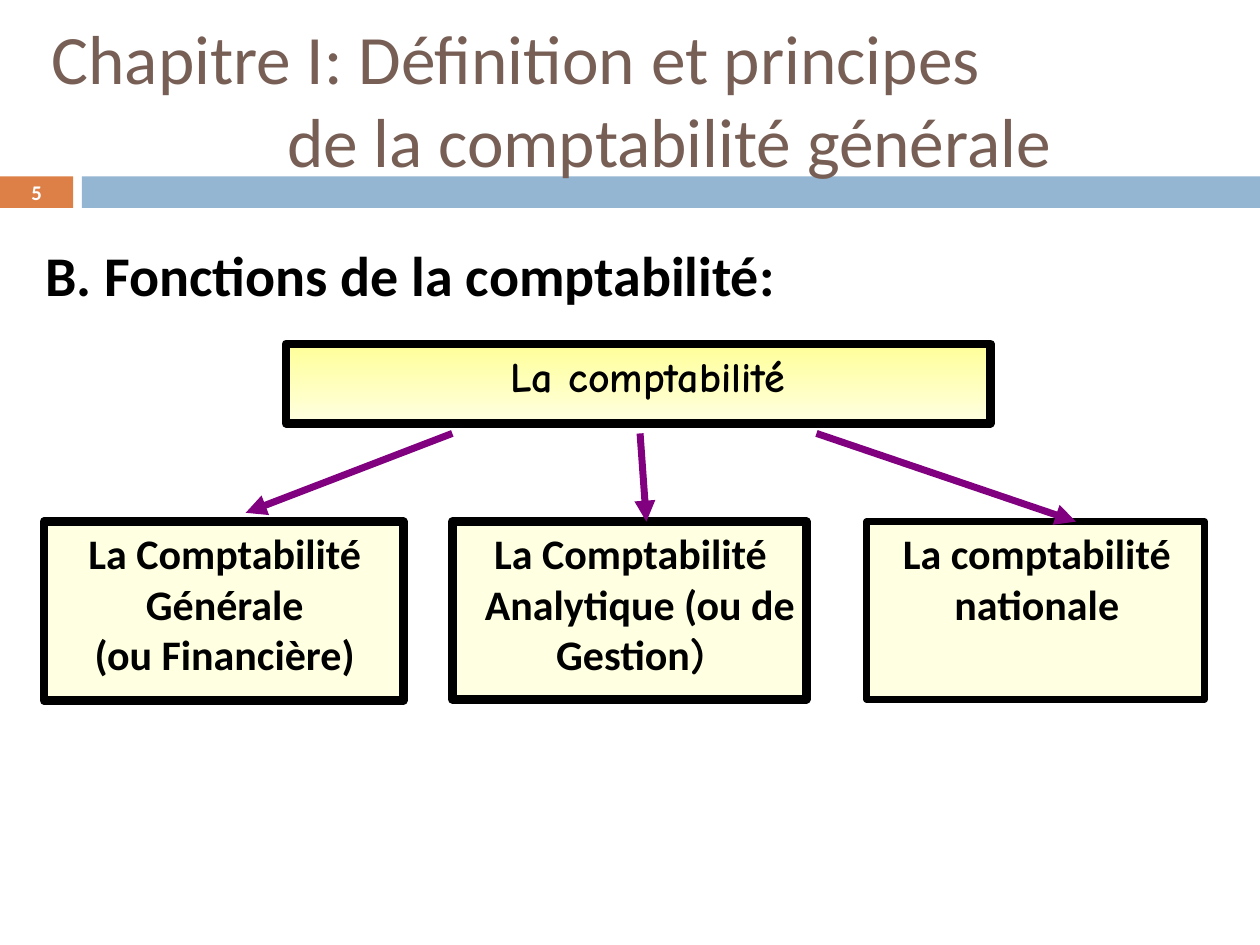
from lxml import etree
from pptx import Presentation, util as u
from pptx.dml.color import RGBColor
from pptx.enum import shapes, text
from pptx.oxml.ns import qn

COLORS = {"orange": "DD8047", "blue": "94B6D2", "brown": "775F55", "black": "000000",
          "yellow": "FFFF99", "cream": "FFFFE1", "purple": "800080", "white": "FFFFFF"}

deck = Presentation()
deck.slide_width, deck.slide_height = u.Inches(10), u.Inches(7.5)
COL = deck.slide_width / 100   # grid of 100 columns
ROW = deck.slide_height / 75   # and 75 rows
page = deck.slides.add_slide(deck.slide_layouts[1])
tree = page.shapes._spTree


def grid(left, top, width, height):
    return [int(left * COL), int(top * ROW), int(width * COL), int(height * ROW)]


def write(box, lines, size, color="black", bold=False, align="LEFT", anchor="TOP"):
    """Each line is (left margin, first-line indent, runs), each run (words, font)."""
    frame = box.text_frame
    frame.word_wrap = True
    frame.auto_size = text.MSO_AUTO_SIZE.NONE
    frame.vertical_anchor = getattr(text.MSO_ANCHOR, anchor)
    for number, (margin, indent, runs) in enumerate(lines):
        para = frame.add_paragraph() if number else frame.paragraphs[0]
        para.alignment = getattr(text.PP_ALIGN, align)
        para.space_before = u.Pt(0)
        props = para._p.get_or_add_pPr()
        props.set("marL", str(int(margin * COL)))
        props.set("indent", str(int(indent * COL)))
        etree.SubElement(props, qn("a:buNone"))
        for words, font in runs:
            span = para.add_run()
            span.text = words
            span.font.name = font
            span.font.size = u.Pt(size)
            span.font.bold = bold
            span.font.color.rgb = RGBColor.from_string(COLORS[color])


# Bands under the title, behind everything else
for position, (left, width, color) in enumerate([(0, 5.8, "orange"), (6.5, 93.5, "blue")]):
    band = page.shapes.add_shape(shapes.MSO_SHAPE.RECTANGLE, *grid(left, 14, width, 2.5))
    band.shadow.inherit = False
    band.fill.solid()
    band.fill.fore_color.rgb = RGBColor.from_string(COLORS[color])
    band.line.fill.background()
    tree.insert(2 + position, band._element)

# Title and section heading
title, body = page.shapes.title, page.placeholders[1]
title.left, title.top, title.width, title.height = grid(3.1, 2.3, 93.8, 11)
write(title, [(0, 0, [("Chapitre I: Définition et principes", "Calibri")]),
              (18.7, 0, [("de la comptabilité générale", "Calibri")])],
      39.6, "brown", anchor="MIDDLE")
body.left, body.top, body.width, body.height = grid(0.8, 18.6, 98.4, 54.3)
write(body, [(1.8, 0, [("B. Fonctions de la comptabilité:", "Calibri")])], 32, bold=True)

# Root box, then its three branches
boxes = [
    (22.7, 27.3, 55.9, 6.3, 5, [(0, 1.3, [("La comptabilité", "Comic Neue")])]),
    (3.5, 41.4, 28.5, 14.2, 5, [(0, 0, [("La Comptabilité", "Calibri")]),
                                (0, 0, [("Générale", "Calibri")]),
                                (0, 0, [("(ou Financière)", "Calibri")])]),
    (35.9, 41.4, 28.1, 14.1, 5, [(0, 0, [("La Comptabilité", "Calibri")]),
                                 (0, 1.5, [("Analytique (ou de Gestion", "Calibri"),
                                           (")", "Comic Neue")])]),
    (68.8, 41.4, 26.8, 14.1, 4, [(0, 0, [("La comptabilité nationale", "Calibri")])]),
]
for number, (left, top, width, height, border, lines) in enumerate(boxes):
    box = page.shapes.add_shape(shapes.MSO_SHAPE.RECTANGLE, *grid(left, top, width, height))
    box.shadow.inherit = False
    if number == 0:
        box.fill.gradient()
        box.fill.gradient_angle = 270
        for stop, color in zip(box.fill.gradient_stops, ("yellow", "cream")):
            stop.color.rgb = RGBColor.from_string(COLORS[color])
    else:
        box.fill.solid()
        box.fill.fore_color.rgb = RGBColor.from_string(COLORS["cream"])
    box.line.color.rgb = RGBColor.from_string(COLORS["black"])
    box.line.width = u.Pt(border)
    box.text_frame.margin_right = u.Inches(0.08)
    write(box, lines, 24, bold=True, align="CENTER")

# Arrows from the root to the branches
for start, end, bottom in [(35.9, 19.5, 40.7), (50.8, 51.3, 41.4), (64.8, 85.4, 41.4)]:
    arrow = page.shapes.add_connector(
        shapes.MSO_CONNECTOR.STRAIGHT, int(start * COL), int(34.4 * ROW),
        int(end * COL), int(bottom * ROW))
    arrow.line.color.rgb = RGBColor.from_string(COLORS["purple"])
    arrow.line.width = u.Pt(4)
    etree.SubElement(arrow.line._get_or_add_ln(), qn("a:tailEnd"), type="triangle")
    etree.SubElement(arrow._element.spPr, qn("a:effectLst"))

# Page number
number_box = page.shapes.add_textbox(*grid(0, 13.9, 5.8, 2.7))
write(number_box, [(0, 0, [("5", "Calibri")])], 11.9, "white", True, "CENTER", "MIDDLE")

deck.save("out.pptx")
